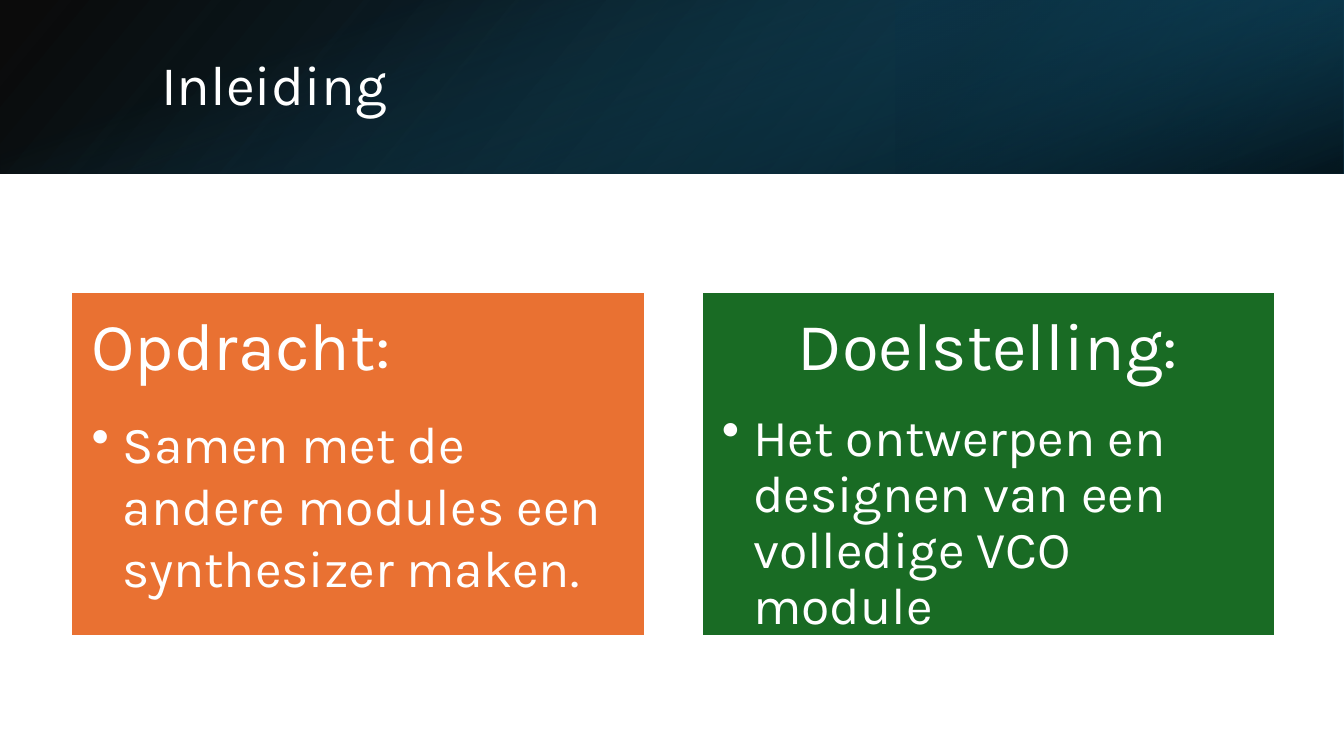
import pptx
import pptx.util
import pptx.dml.color
import pptx.enum.shapes
import pptx.enum.text
from lxml import etree

Cm, Pt = pptx.util.Cm, pptx.util.Pt
RGBColor = pptx.dml.color.RGBColor
PP_ALIGN = pptx.enum.text.PP_ALIGN
MSO_ANCHOR = pptx.enum.text.MSO_ANCHOR
RECTANGLE = pptx.enum.shapes.MSO_SHAPE.RECTANGLE

# Colours and font
WHITE = RGBColor(0xFF, 0xFF, 0xFF)
BLACK = RGBColor(0x00, 0x00, 0x00)
DEEP_BLUE = RGBColor(0x10, 0x48, 0x62)
NIGHT_BLUE = RGBColor(0x0B, 0x30, 0x41)
TEAL = RGBColor(0x15, 0x60, 0x82)
ORANGE = RGBColor(0xE9, 0x71, 0x32)
GREEN = RGBColor(0x19, 0x6B, 0x24)
FONT = "Karla"

# Content
TITLE = "Inleiding"
CARDS = [  # heading, bullet, fill, heading alignment, bullet line spacing
    ("Opdracht:", "Samen met de andere modules een synthesizer maken.",
     ORANGE, PP_ALIGN.LEFT, 1.0),
    ("Doelstelling:", "Het ontwerpen en designen van een volledige VCO module",
     GREEN, PP_ALIGN.CENTER, 0.9),
]

# Layout in cm
SLIDE_W, SLIDE_H, BAND_H = 33.87, 19.05, 4.37
CARD_X, CARD_Y, CARD_W, CARD_H, CARD_STEP = 1.8, 7.37, 14.45, 8.66, 15.88
INSET, INDENT = 0.51, 0.79

# Banner layers: left, width, height, rotation, mirrored, angle,
# stops (position, colour, opacity in %)
LAYERS = [
    (0, SLIDE_W, BAND_H, 0, True, 140,
     [(0, BLACK, 96), (1, DEEP_BLUE, 100)]),
    (SLIDE_W * 2 / 3, SLIDE_W / 3, BAND_H, 180, True, 320,
     [(0.19, NIGHT_BLUE, 68), (1, TEAL, 79)]),
    ((SLIDE_W - BAND_H) / 2, BAND_H, SLIDE_W, 90, False, 340,
     [(0.23, TEAL, 0), (0.99, BLACK, 74)]),
]

prs = pptx.Presentation()
prs.slide_width, prs.slide_height = Cm(SLIDE_W), Cm(SLIDE_H)
s = prs.slides.add_slide(prs.slide_layouts[6])


def add_rect(x, y, w, h):
    sp = s.shapes.add_shape(RECTANGLE, Cm(x), Cm(y), Cm(w), Cm(h))
    sp.shadow.inherit = False
    return sp


def format_text(p, size, spacing):
    p.line_spacing = spacing
    for r in p.runs:
        r.font.name = FONT
        r.font.size = Pt(size)
        r.font.color.rgb = WHITE


# Banner
for x, w, h, rotation, mirrored, angle, stops in LAYERS:
    sp = add_rect(x, (BAND_H - h) / 2, w, h)
    sp.rotation = rotation
    if mirrored:
        sp.element.spPr.xfrm.set("flipH", "1")
    sp.line.fill.background()
    sp.fill.gradient()
    sp.fill.gradient_angle = 360 - angle
    for stop, (position, color, _) in zip(sp.fill.gradient_stops, stops):
        stop.position = position
        stop.color.rgb = color
    clrs = sp.element.spPr.findall(".//" + pptx.oxml.ns.qn("a:srgbClr"))
    for clr, (_, _, opacity) in zip(clrs, stops):
        etree.SubElement(clr, pptx.oxml.ns.qn("a:alpha"), val=str(opacity * 1000))

# Title
tf = s.shapes.add_textbox(Cm(3.81), Cm(0.97), Cm(27.89), Cm(2.44)).text_frame
tf.word_wrap = True
tf.vertical_anchor = MSO_ANCHOR.MIDDLE
tf.text = TITLE
format_text(tf.paragraphs[0], 40, 0.9)

# Cards
for i, (heading, bullet, color, align, spacing) in enumerate(CARDS):
    sp = add_rect(CARD_X + i * CARD_STEP, CARD_Y, CARD_W, CARD_H)
    sp.fill.solid()
    sp.fill.fore_color.rgb = color
    sp.line.color.rgb = WHITE
    sp.line.width = Pt(1.5)
    tf = sp.text_frame
    tf.word_wrap = True
    tf.vertical_anchor = MSO_ANCHOR.TOP
    tf.margin_left = tf.margin_right = tf.margin_top = tf.margin_bottom = Cm(INSET)

    p = tf.paragraphs[0]
    p.text = heading
    p.alignment = align
    p.space_after = Pt(19)
    format_text(p, 48, 0.9)

    p = tf.add_paragraph()
    p.text = bullet
    p.alignment = PP_ALIGN.LEFT
    format_text(p, 37, spacing)
    pPr = p._p.get_or_add_pPr()
    pPr.set("marL", str(Cm(INDENT)))
    pPr.set("indent", str(-Cm(INDENT)))
    etree.SubElement(pPr, pptx.oxml.ns.qn("a:buChar"), char="•")

prs.save("out.pptx")
